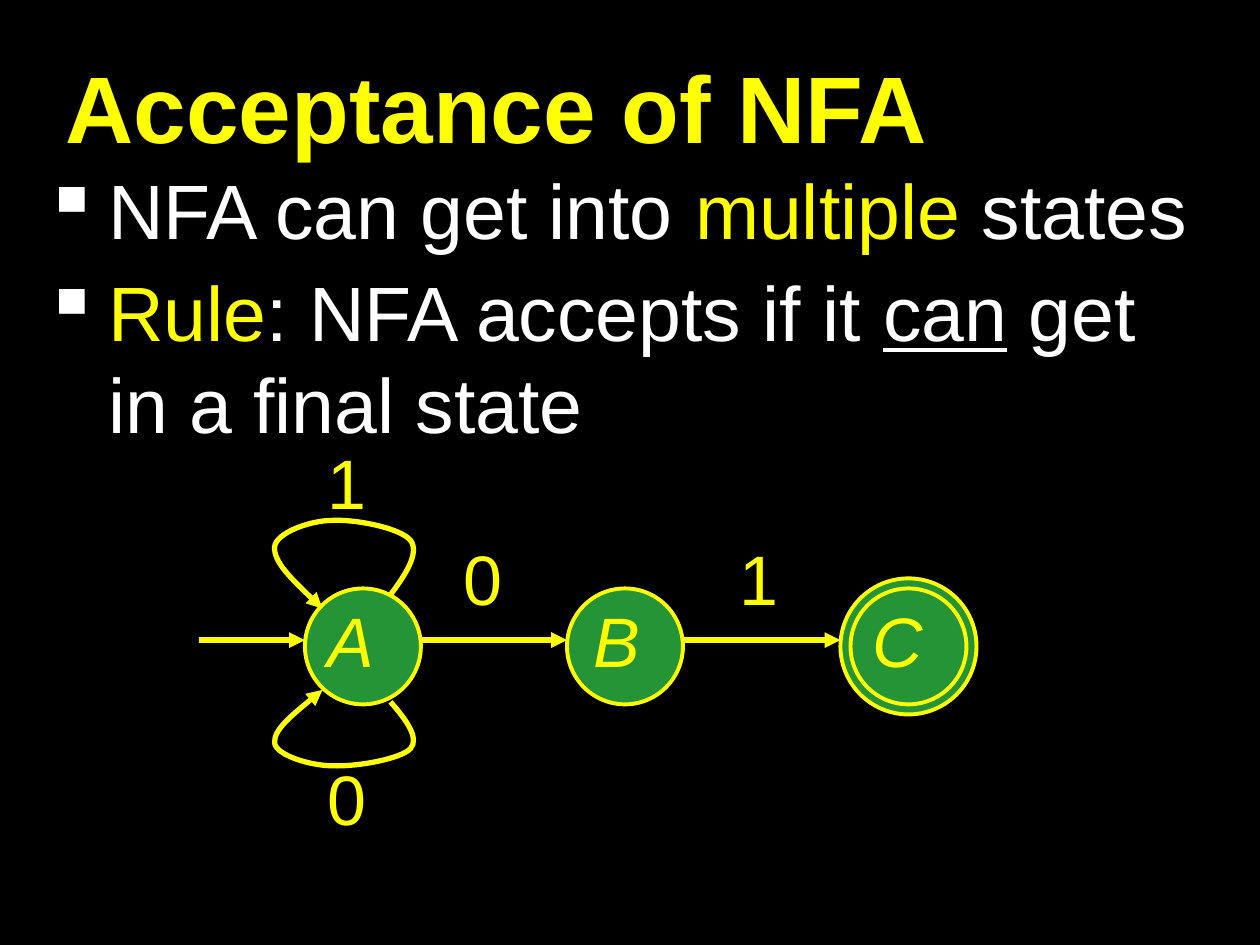
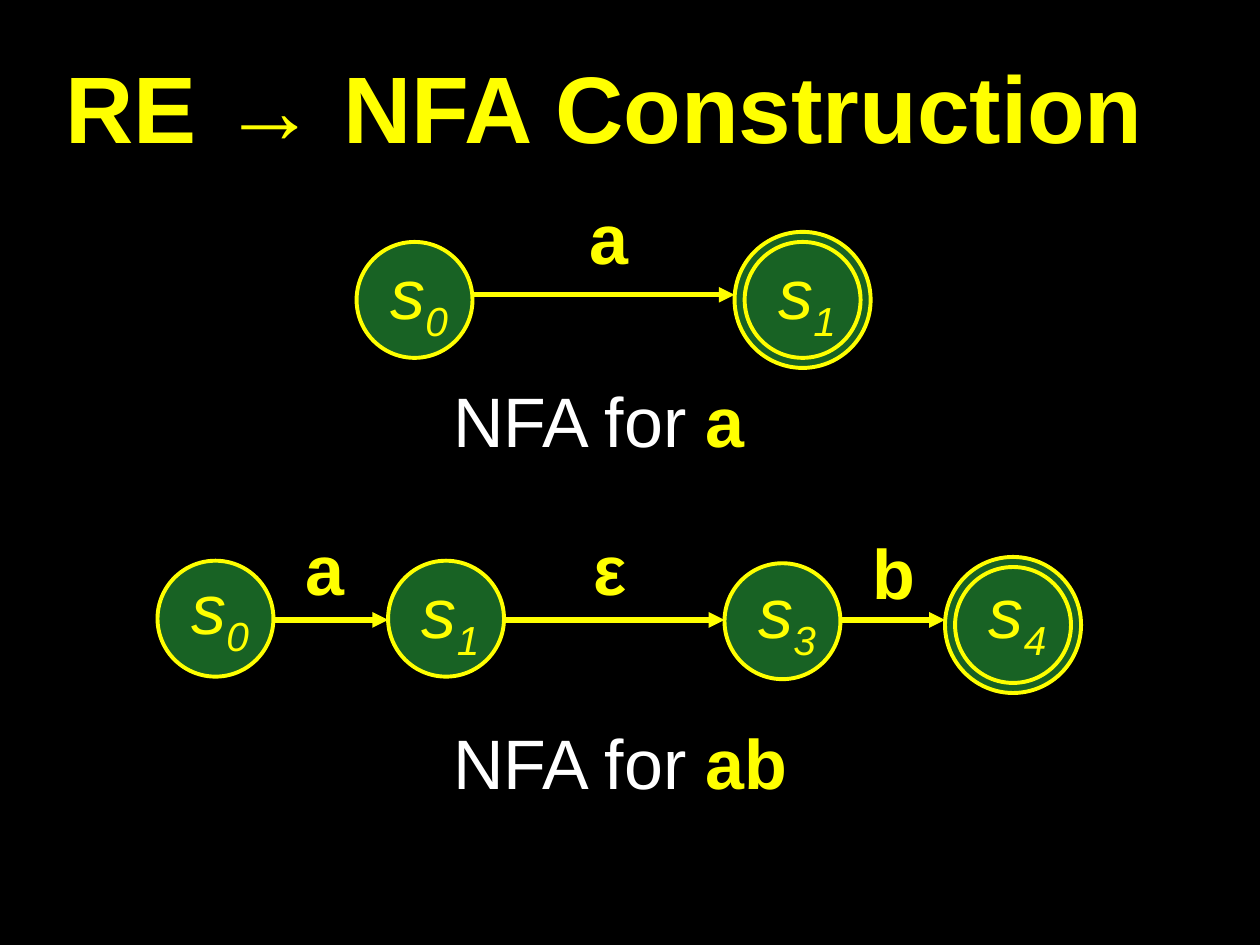
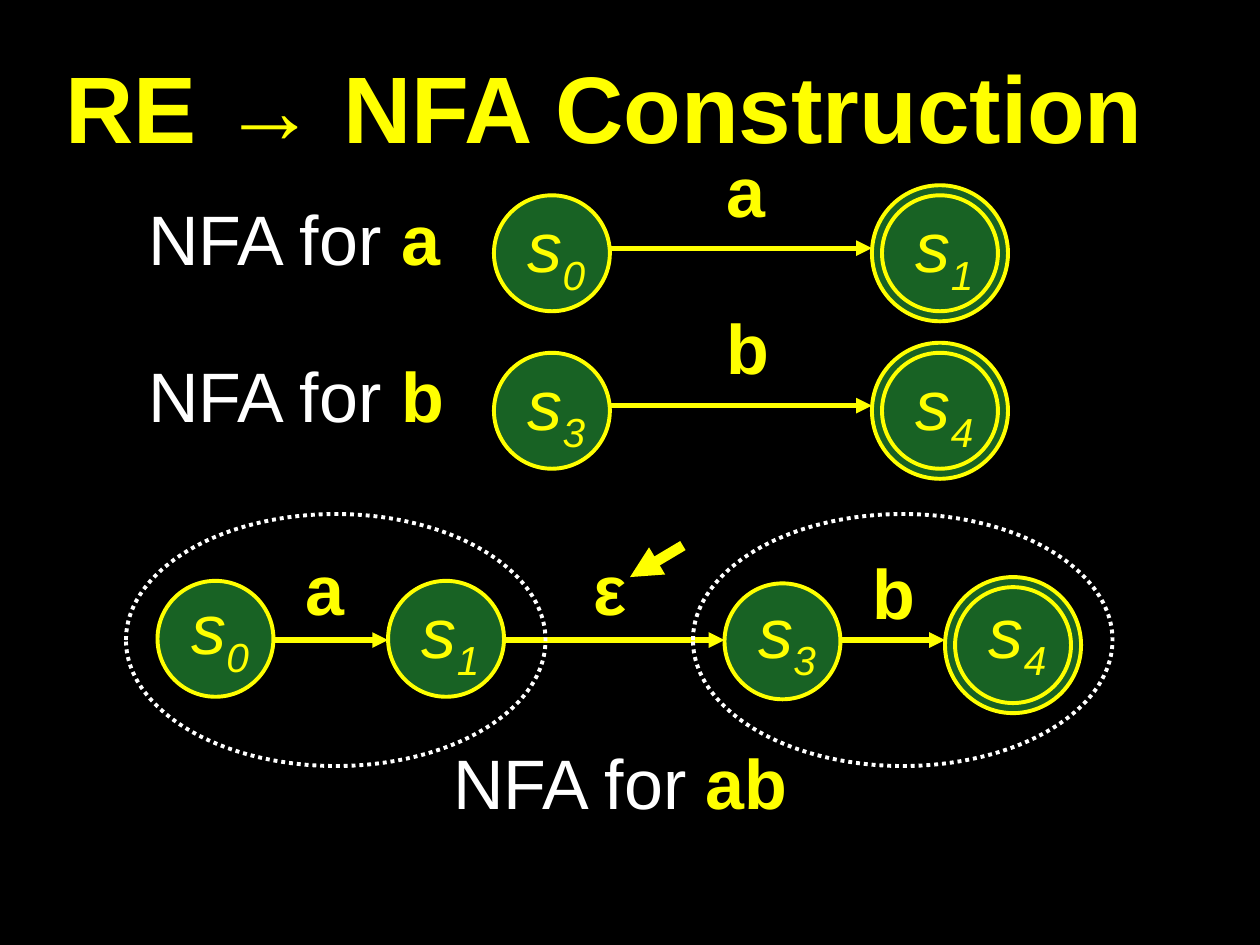
"""Build three slides on accepting words with an NFA and building one from a regular expression."""
import lxml.etree
import pptx
import pptx.dml.color
import pptx.enum.dml
import pptx.enum.shapes
import pptx.enum.text
import pptx.oxml.ns
import pptx.util

Inches = pptx.util.Inches
Pt = pptx.util.Pt
qn = pptx.oxml.ns.qn

COLOURS = {
    "background": "000000",
    "accent": "FFFF00",
    "body": "FFFFFF",
    "bright_state": "249437",
    "dark_state": "186224",
    "title_shadow": "C0C0C0",
}
FONT = "Arial"
STATE_SIZE = 0.92
RING_SIZE = 1.08
RING_GAP = 0.08
LOOP_POINTS = [
    (3.1, 0), (3.22, -0.16), (3.33, -0.33), (3.26, -0.43),
    (3.18, -0.53), (2.82, -0.6), (2.64, -0.59),
    (2.46, -0.59), (2.19, -0.49), (2.18, -0.38),
    (2.17, -0.26), (2.37, -0.07), (2.56, 0.11),
]


def colour(name):
    return pptx.dml.color.RGBColor.from_string(COLOURS[name])


def write(paragraph, size, runs):
    for text, colour_name, style in runs:
        run = paragraph.add_run()
        run.text = text
        run.font.name = FONT
        run.font.size = Pt(size)
        run.font.color.rgb = colour(colour_name)
        run.font.bold = "bold" in style
        run.font.italic = "italic" in style
        run.font.underline = "underline" in style
        if "subscript" in style:
            run.font._element.set("baseline", "-25000")


def add_title_slide(deck, heading):
    slide = deck.slides.add_slide(deck.slide_layouts[5])
    title = slide.shapes.title
    title.left, title.top = Inches(0.42), Inches(0.42)
    title.width, title.height = Inches(9.67), Inches(0.83)
    frame = title.text_frame
    frame.auto_size = pptx.enum.text.MSO_AUTO_SIZE.NONE
    frame.vertical_anchor = pptx.enum.text.MSO_ANCHOR.MIDDLE
    paragraph = frame.paragraphs[0]
    paragraph.alignment = pptx.enum.text.PP_ALIGN.LEFT
    write(paragraph, 54, [(heading, "accent", "bold")])
    fill = paragraph.runs[0].font._element.find(qn("a:solidFill"))
    effects = lxml.etree.Element(qn("a:effectLst"))
    shadow = lxml.etree.SubElement(
        effects, qn("a:outerShdw"), dist="35921", dir="2700000")
    lxml.etree.SubElement(
        shadow, qn("a:srgbClr"), val=COLOURS["title_shadow"])
    fill.addnext(effects)
    return slide


def add_text_frame(slide, left, top, width, height):
    box = slide.shapes.add_textbox(
        Inches(left), Inches(top), Inches(width), Inches(height))
    box.text_frame.word_wrap = True
    return box.text_frame


def add_bullets(slide, points):
    frame = add_text_frame(slide, 0.25, 1.24, 9.5, 2.35)
    for index, runs in enumerate(points):
        paragraph = frame.add_paragraph() if index else frame.paragraphs[0]
        properties = paragraph._p.get_or_add_pPr()
        properties.set("marL", str(Inches(0.51)))
        properties.set("indent", str(-Inches(0.51)))
        if index:
            paragraph.space_before = Pt(5.5)
        bullet_colour = lxml.etree.SubElement(properties, qn("a:buClr"))
        lxml.etree.SubElement(
            bullet_colour, qn("a:srgbClr"), val=COLOURS["body"])
        lxml.etree.SubElement(properties, qn("a:buChar"), char="▪")
        write(paragraph, 44, runs)


def add_label(slide, left, top, runs, width=0.73, height=0.64):
    frame = add_text_frame(slide, left, top, width, height)
    frame.auto_size = pptx.enum.text.MSO_AUTO_SIZE.SHAPE_TO_FIT_TEXT
    frame.paragraphs[0].line_spacing = 0.8
    write(frame.paragraphs[0], 40, runs)


def add_symbol(slide, left, top, symbol, style=""):
    add_label(slide, left, top, [(symbol, "accent", style)])


def add_caption(slide, left, top, word):
    add_label(slide, left, top,
              [("NFA for ", "body", ""), (word, "accent", "bold")], width=3.25)


def add_ellipse(slide, left, top, width, height, line, fill=None):
    ellipse = slide.shapes.add_shape(
        pptx.enum.shapes.MSO_SHAPE.OVAL,
        Inches(left), Inches(top), Inches(width), Inches(height))
    ellipse.shadow.inherit = False
    if fill:
        ellipse.fill.solid()
        ellipse.fill.fore_color.rgb = colour(fill)
    else:
        ellipse.fill.background()
    ellipse.line.color.rgb = colour(line)
    ellipse.line.width = Pt(2.25)
    return ellipse


def add_state(slide, left, top, fill, final=False):
    if final:
        add_ellipse(slide, left - RING_GAP, top - RING_GAP,
                    RING_SIZE, RING_SIZE, "accent", fill)
    add_ellipse(slide, left, top, STATE_SIZE, STATE_SIZE, "accent", fill)


def add_numbered_state(slide, left, top, number, label_top, final=False):
    add_state(slide, left, top, "dark_state", final)
    add_label(slide, left + 0.17, label_top,
              [("s", "accent", "italic"),
               (number, "accent", "italic subscript")],
              width=1, height=0.71)


def style_arrow(arrow, width):
    arrow.line.color.rgb = colour("accent")
    arrow.line.width = Pt(width)
    properties = arrow._element.spPr
    lxml.etree.SubElement(
        properties.find(qn("a:ln")), qn("a:tailEnd"), type="triangle")
    lxml.etree.SubElement(properties, qn("a:effectLst"))


def add_arrow(slide, start, end, width=3):
    arrow = slide.shapes.add_connector(
        pptx.enum.shapes.MSO_CONNECTOR.STRAIGHT,
        *[Inches(length) for length in (*start, *end)])
    style_arrow(arrow, width)


def add_loop(slide, foot, scale):
    points = [(Inches(x), Inches(foot + scale * y)) for x, y in LOOP_POINTS]
    builder = slide.shapes.build_freeform(*points[0])
    builder.add_line_segments(points[1:], close=False)
    loop = builder.convert_to_shape()
    loop.fill.background()
    style_arrow(loop, 3)
    outline = next(loop._element.iter(qn("a:path")))
    segments = outline.findall(qn("a:lnTo"))
    for first in range(0, len(segments), 3):
        curve = lxml.etree.SubElement(outline, qn("a:cubicBezTo"))
        for segment in segments[first:first + 3]:
            curve.append(segment[0])
            outline.remove(segment)


def add_single_symbol_nfa(slide, left, top, symbol, start, end):
    add_numbered_state(slide, left, top, start, top + 0.08)
    add_numbered_state(slide, left + 3.08, top, end, top + 0.08, final=True)
    add_arrow(slide, (left + STATE_SIZE, top + 0.42), (left + 3, top + 0.42))
    add_symbol(slide, left + 1.75, top - 0.3, symbol, "bold")


def add_concatenation_nfa(slide, arrow_y):
    for left, rise, number, label_rise in [
            (1.25, 0.47, "0", 0.42), (3.08, 0.47, "1", 0.39),
            (5.75, 0.45, "3", 0.39), (7.58, 0.42, "4", 0.39)]:
        add_numbered_state(slide, left, arrow_y - rise, number,
                           arrow_y - label_rise, final=number == "4")
    for start, end in [(2.17, 3.08), (4, 5.75), (6.67, 7.5)]:
        add_arrow(slide, (start, arrow_y), (end, arrow_y))
    for symbol, left, rise in [
            ("a", 2.33, 0.67), ("ε", 4.61, 0.67), ("b", 6.83, 0.64)]:
        add_symbol(slide, left, arrow_y - rise, symbol, "bold")
    add_caption(slide, 3.5, arrow_y + 0.87, "ab")


def build_acceptance(deck):
    slide = add_title_slide(deck, "Acceptance of NFA")
    add_bullets(slide, [
        [("NFA can get into ", "body", ""), ("multiple", "accent", ""),
         (" states", "body", "")],
        [("Rule", "accent", ""), (": NFA accepts if it ", "body", ""),
         ("can", "body", "underline"),
         (" get in a final state", "body", "")],
    ])
    for name, left, label_left in [
            ("A", 2.42, 2.5), ("B", 4.5, 4.61), ("C", 6.75, 6.83)]:
        add_state(slide, left, 4.67, "bright_state", final=name == "C")
        add_symbol(slide, label_left, 4.82, name, "italic")
    for start, end in [(1.58, 2.42), (3.33, 4.5), (5.42, 6.67)]:
        add_arrow(slide, (start, 5.08), (end, 5.08))
    add_loop(slide, 4.72, 1)
    add_loop(slide, 5.57, -0.86)
    for symbol, left, top in [
            ("1", 2.5, 3.57), ("0", 3.58, 4.33),
            ("1", 5.77, 4.33), ("0", 2.5, 6.08)]:
        add_symbol(slide, left, top, symbol)


def build_construction(deck):
    slide = add_title_slide(deck, "RE → NFA Construction")
    add_single_symbol_nfa(slide, 2.83, 1.92, "a", "0", "1")
    add_caption(slide, 3.5, 3.08, "a")
    add_concatenation_nfa(slide, 4.92)


def build_joined_construction(deck):
    slide = add_title_slide(deck, "RE → NFA Construction")
    for symbol, top, start, end in [
            ("a", 1.55, "0", "1"), ("b", 2.8, "3", "4")]:
        add_single_symbol_nfa(slide, 3.92, top, symbol, start, end)
        add_caption(slide, 1.08, top + 0.08, symbol)
    add_concatenation_nfa(slide, 5.08)
    add_arrow(slide, (5.42, 4.33), (5, 4.58), width=6)
    for left in (1, 5.5):
        group_outline = add_ellipse(slide, left, 4.08, 3.33, 2, "body")
        group_outline.line.dash_style = pptx.enum.dml.MSO_LINE.ROUND_DOT


def main():
    deck = pptx.Presentation()
    deck.slide_width, deck.slide_height = Inches(10), Inches(7.5)
    background = deck.slide_master.background.fill
    background.solid()
    background.fore_color.rgb = colour("background")
    build_acceptance(deck)
    build_construction(deck)
    build_joined_construction(deck)
    deck.save("out.pptx")


if __name__ == "__main__":
    main()
